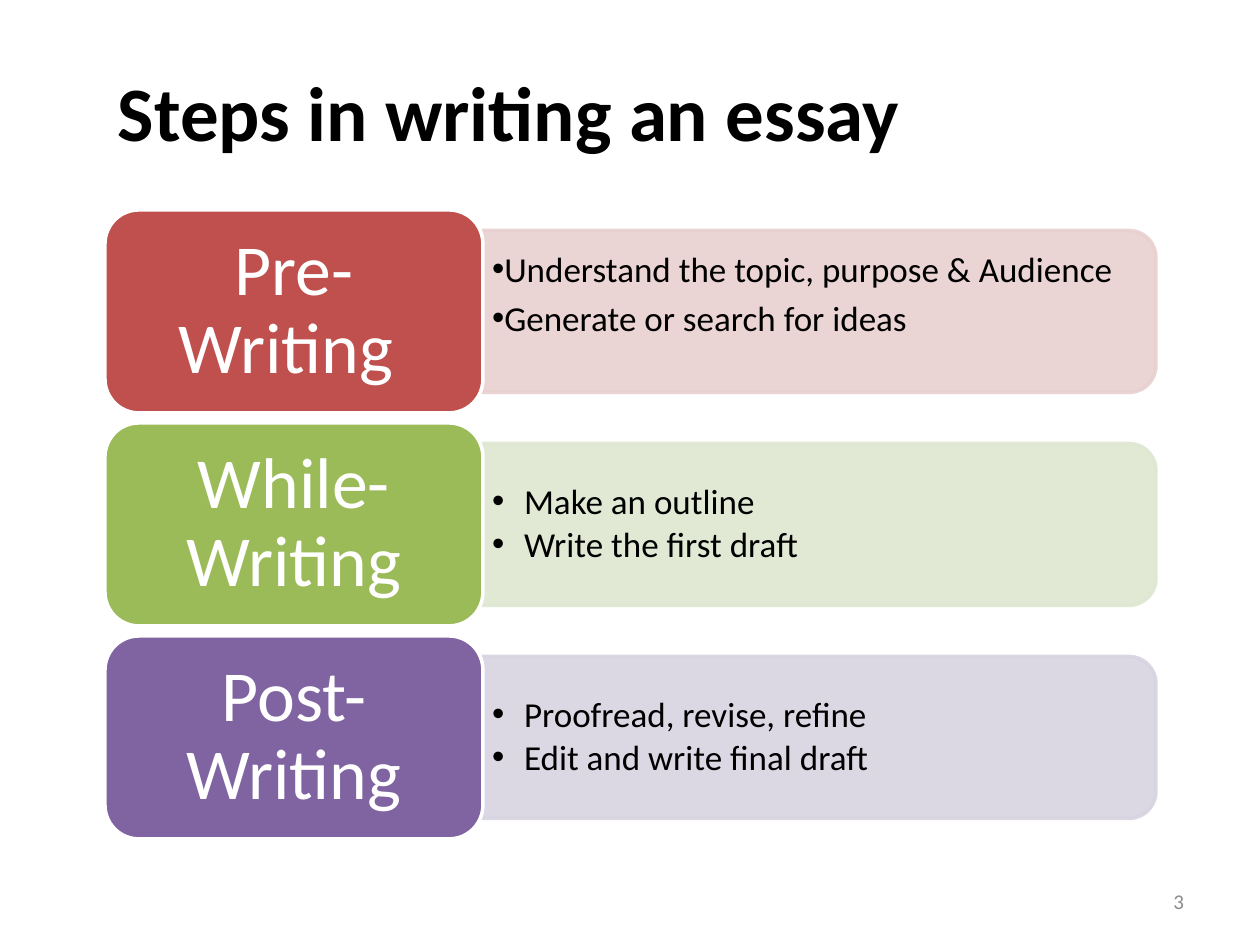
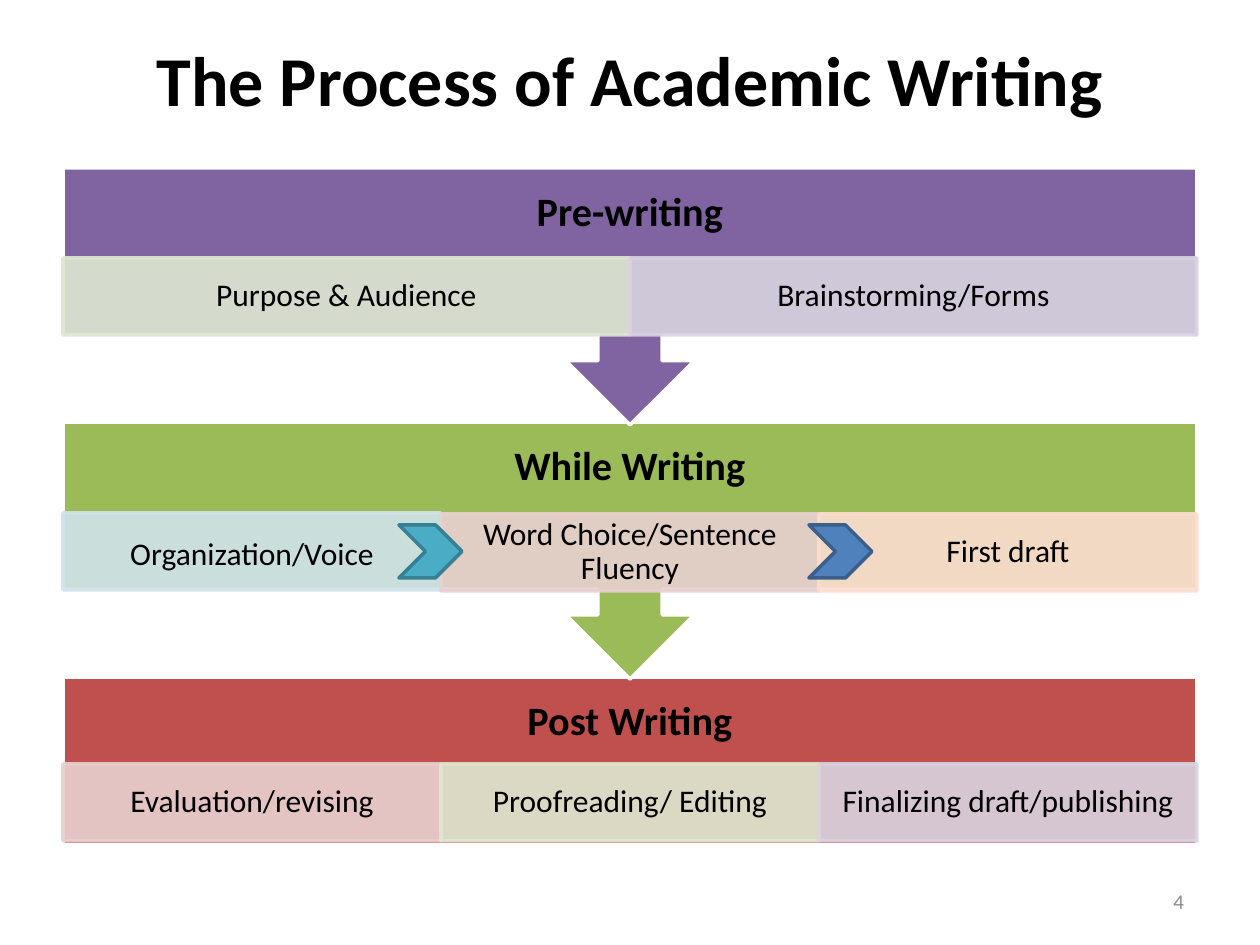
"""Build two slides on the stages of writing an essay."""
from lxml.etree import SubElement
from pptx import Presentation
from pptx.dml.color import RGBColor
from pptx.enum.shapes import MSO_SHAPE as SHAPE
from pptx.enum.text import MSO_ANCHOR as ANCHOR, PP_ALIGN as ALIGN
from pptx.oxml.ns import qn
from pptx.util import Pt

PX = 914400 / 126
FONT = "Calibri"
BLACK, WHITE, GREY = "000000", "FFFFFF", "8C8C8C"
RED, GREEN, PURPLE = "C0504D", "9BBB59", "8064A2"
PALE_RED, PALE_GREEN, PALE_PURPLE = "E8D0D0", "DEE7D1", "D8D3E0"
PALE_TEAL, PALE_ORANGE = "D0E3EA", "FCDDCF"

STEPS = [
    {"name": "Pre-Writing ", "fill": RED, "pale": PALE_RED,
     "points": ["Understand the topic, purpose & Audience",
                "Generate or search for ideas"],
     "hang": 8, "bottom": 43, "spacing": 1.0, "after": 4},
    {"name": "While-Writing", "fill": GREEN, "pale": PALE_GREEN,
     "points": ["Make an outline", "Write the first draft"],
     "hang": 32, "bottom": 5, "spacing": 0.9, "after": 3},
    {"name": "Post-Writing", "fill": PURPLE, "pale": PALE_PURPLE,
     "points": ["Proofread, revise, refine", "Edit and write final draft"],
     "hang": 32, "bottom": 5, "spacing": 0.9, "after": 3},
]
STEP_TOP, STEP_PITCH, STEP_H = 210, 213, 203
NAME_LEFT, NAME_W = 105, 378
PANEL_LEFT, PANEL_W, PANEL_H = 482, 674, 162

STAGES = [
    {"name": "Pre-writing", "fill": PURPLE, "top": 168, "row": 258,
     "cells": [("Purpose & Audience", PALE_GREEN, 0),
               ("Brainstorming/Forms", PALE_PURPLE, 0)]},
    {"name": "While Writing", "fill": GREEN, "top": 422, "row": 514,
     "cells": [("Organization/Voice", PALE_TEAL, 8),
               ("Word Choice/Sentence Fluency", PALE_RED, 0),
               ("First draft", PALE_ORANGE, 0)]},
    {"name": "Post Writing", "fill": RED, "top": 677, "row": 764,
     "cells": [("Evaluation/revising", PALE_RED, 0),
               ("Proofreading/ Editing", PALE_GREEN, 0),
               ("Finalizing draft/publishing", PALE_PURPLE, 0)]},
]
STAGE_LEFT, STAGE_W, HEADER_H, CELL_H = 63, 1134, 91, 77
CALLOUT_H, LAST_H = 257, 168
CHEVRONS = [(399, "4BACC6", "377F92"), (809, "4F81BD", "3A5F8C")]


def px(n):
    return round(n * PX)


def rgb(color):
    return RGBColor.from_string(color)


def write(sp, lines, size, color=BLACK, bold=False, align=ALIGN.CENTER,
          insets=(13, 6, 13, 6), spacing=0.9, after=0, hang=0):
    tf = sp.text_frame
    left, top, right, bottom = map(px, insets)
    frame = {"word_wrap": True, "vertical_anchor": ANCHOR.MIDDLE,
             "margin_left": left, "margin_top": top,
             "margin_right": right, "margin_bottom": bottom}
    for key, value in frame.items():
        setattr(tf, key, value)
    for i, line in enumerate(lines):
        p = tf.add_paragraph() if i else tf.paragraphs[0]
        for key, value in {"alignment": align, "line_spacing": spacing,
                           "space_after": Pt(after)}.items():
            setattr(p, key, value)
        if hang:
            pPr = p._p.get_or_add_pPr()
            pPr.set("marL", str(px(hang)))
            pPr.set("indent", str(-px(hang)))
            SubElement(pPr, qn("a:buFont"), typeface="Arial")
            SubElement(pPr, qn("a:buChar"), char="•")
        r = p.add_run()
        r.text = line
        for key, value in {"name": FONT, "size": Pt(size), "bold": bold}.items():
            setattr(r.font, key, value)
        r.font.color.rgb = rgb(color)


def add_text(s, box, lines, size, **fmt):
    write(s.shapes.add_textbox(*map(px, box)), lines, size, **fmt)


def add_block(s, kind, box, fill, line=WHITE, rotation=0, alpha=None):
    sp = s.shapes.add_shape(kind, *map(px, box))
    sp.shadow.inherit = False
    sp.rotation = rotation
    sp.fill.solid()
    sp.fill.fore_color.rgb = rgb(fill)
    sp.line.color.rgb = rgb(line)
    sp.line.width = Pt(2)
    if alpha:
        for clr in sp._element.spPr.iter(qn("a:srgbClr")):
            SubElement(clr, qn("a:alpha"), val=str(alpha * 1000))
    return sp


def add_slide(prs, number, title, title_box, size, align):
    s = prs.slides.add_slide(prs.slide_layouts[6])
    add_text(s, title_box, [title], size, bold=True, align=align, spacing=1.0)
    add_text(s, (903, 876, 294, 50), [number], 12, color=GREY,
             align=ALIGN.RIGHT, spacing=1.0)
    return s


def add_step(s, i, step):
    top = STEP_TOP + i * STEP_PITCH
    middle = top + STEP_H / 2
    panel = (PANEL_LEFT + (PANEL_W - PANEL_H) / 2, middle - PANEL_W / 2,
             PANEL_H, PANEL_W)
    add_block(s, SHAPE.ROUND_2_SAME_RECTANGLE, panel, step["pale"],
              step["pale"], rotation=90, alpha=90)
    add_text(s, (PANEL_LEFT, middle - 73, 664, 146), step["points"], 20,
             align=ALIGN.LEFT, insets=(10, 5, 10, step["bottom"]),
             spacing=step["spacing"], after=step["after"], hang=step["hang"])
    sp = add_block(s, SHAPE.ROUNDED_RECTANGLE,
                   (NAME_LEFT, top, NAME_W, STEP_H), step["fill"])
    write(sp, [step["name"]], 41, color=WHITE, insets=(21, 11, 21, 11))


def add_stage(s, stage, last):
    kind, height, rotation = ((SHAPE.RECTANGLE, LAST_H, 0) if last else
                              (SHAPE.UP_ARROW_CALLOUT, CALLOUT_H, 180))
    add_block(s, kind, (STAGE_LEFT, stage["top"], STAGE_W, height),
              stage["fill"], rotation=rotation)
    add_text(s, (STAGE_LEFT, stage["top"], STAGE_W, HEADER_H),
             [stage["name"]], 23, bold=True, insets=(23, 23, 23, 23))
    width = STAGE_W / len(stage["cells"])
    for i, (text, fill, drop) in enumerate(stage["cells"]):
        top = stage["row"] - (1 if drop else 0)
        sp = add_block(s, SHAPE.RECTANGLE,
                       (STAGE_LEFT + i * width, top, width, CELL_H),
                       fill, fill, alpha=90)
        write(sp, [text], 18, insets=(18, 4 + drop, 18, 4))


def main():
    prs = Presentation()
    prs.slide_width, prs.slide_height = px(1260), px(945)

    s = add_slide(prs, "3", "Steps in writing an essay",
                  (105, 32, 1134, 158), 44, ALIGN.LEFT)
    for i, step in enumerate(STEPS):
        add_step(s, i, step)

    s = add_slide(prs, "4", "The Process of Academic Writing",
                  (63, 42, 1134, 73), 40, ALIGN.CENTER)
    for stage in reversed(STAGES):
        add_stage(s, stage, stage is STAGES[-1])
    for left, fill, line in CHEVRONS:
        add_block(s, SHAPE.CHEVRON, (left, 525, 63, 53), fill, line)

    prs.save("out.pptx")


if __name__ == "__main__":
    main()
